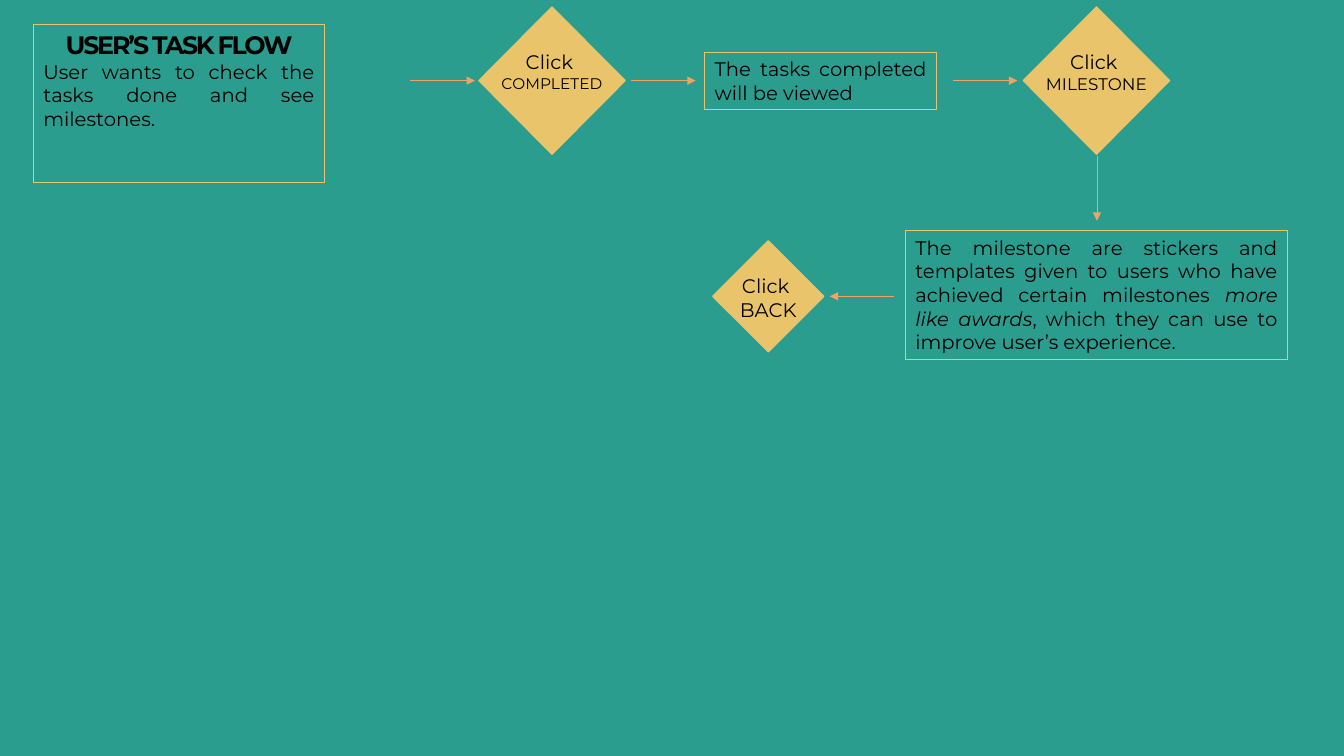
from dataclasses import dataclass

from lxml.etree import SubElement
from pptx import Presentation
from pptx.dml.color import RGBColor
from pptx.enum.shapes import MSO_CONNECTOR as Connector, MSO_SHAPE as Shape
from pptx.enum.text import MSO_ANCHOR as Anchor, MSO_AUTO_SIZE as AutoSize, PP_ALIGN as Align
from pptx.oxml.ns import qn
from pptx.util import Inches, Pt


@dataclass(frozen=True)
class Theme:
    font: str = "Montserrat"
    background: RGBColor = RGBColor.from_string("2A9D8F")
    gold: RGBColor = RGBColor.from_string("E9C46A")
    orange: RGBColor = RGBColor.from_string("F4A261")
    ink: RGBColor = RGBColor.from_string("000000")
    title: int = 18
    body: int = 14


THEME = Theme()

# Content: positions are left, top, width, height in inches
TITLE = "USER’S TASK FLOW"
GOAL = "User wants to check the tasks done and see milestones."
START_AREA = (0.33, 0.24, 2.89, 1.11)

# Step boxes: area, then text pieces with an italic flag
STEPS = [
    ((6.99, 0.52, 2.3, 0.57), [("The tasks completed will be viewed", False)]),
    ((8.98, 2.29, 3.79, 1.28), [
        ("The milestone are stickers and templates given to users who have "
         "achieved certain milestones ", False),
        ("more like awards", True),
        (", which they can use to improve user’s experience.", False),
    ]),
]

# Decisions: diamond area, label top and height, button name, name size
DECISIONS = [
    ((10.15, 0.07, 1.45, 1.46), (0.45, 0.54), "MILESTONE", 12),
    ((7.07, 2.39, 1.1, 1.1), (2.67, 0.57), "BACK", THEME.body),
    ((4.75, 0.07, 1.45, 1.46), (0.45, 0.52), "COMPLETED", 11),
]
LABEL_WIDTH = 1.26

# Arrows: start point and direction, all of one length
ARROW_LENGTH = 0.64
ARROWS = [
    ((4.07, 0.8), (1, 0)),
    ((6.26, 0.8), (1, 0)),
    ((9.45, 0.8), (1, 0)),
    ((10.88, 1.55), (0, 1)),
    ((8.87, 2.94), (-1, 0)),
]


def inches(values):
    return [Inches(value) for value in values]


def add_span(para, text, size=THEME.body, bold=False, italic=False):
    span = para.add_run()
    span.text = text
    font = span.font
    font.name, font.size, font.bold, font.italic = THEME.font, Pt(size), bold, italic
    font.color.rgb = THEME.ink
    return span


def prepare_text(box, align):
    frame = box.text_frame
    frame.word_wrap = True
    frame.auto_size = AutoSize.SHAPE_TO_FIT_TEXT
    frame.vertical_anchor = Anchor.TOP
    frame.paragraphs[0].alignment = align
    return frame


def outline(box, width=0.75):
    box.line.color.rgb = THEME.gold
    box.line.width = Pt(width)


def add_start(slide):
    box = slide.shapes.title
    box.left, box.top, box.width, box.height = inches(START_AREA)
    outline(box)
    frame = prepare_text(box, Align.CENTER)
    heading = add_span(frame.paragraphs[0], TITLE, THEME.title, bold=True)
    heading.font._element.set("spc", "-150")
    goal = frame.add_paragraph()
    goal.alignment = Align.JUSTIFY
    add_span(goal, GOAL)


def add_step(slide, area, pieces):
    box = slide.shapes.add_shape(Shape.RECTANGLE, *inches(area))
    box.shadow.inherit = False
    box.fill.background()
    outline(box)
    para = prepare_text(box, Align.JUSTIFY).paragraphs[0]
    for text, italic in pieces:
        add_span(para, text, italic=italic)


def add_decision(slide, area, label_rows, name, size):
    group = slide.shapes.add_group_shape()
    diamond = group.shapes.add_shape(Shape.DIAMOND, *inches(area))
    diamond.shadow.inherit = False
    diamond.fill.solid()
    diamond.fill.fore_color.rgb = THEME.gold
    outline(diamond, 1)

    # Label centred on the diamond
    left = area[0] + (area[2] - LABEL_WIDTH) / 2
    top, height = label_rows
    label = group.shapes.add_textbox(*inches((left, top, LABEL_WIDTH, height)))
    para = prepare_text(label, Align.CENTER).paragraphs[0]
    add_span(para, "Click ")
    para.add_line_break()
    add_span(para, name, size)


def add_arrow(slide, start, direction):
    end = [at + step * ARROW_LENGTH for at, step in zip(start, direction)]
    arrow = slide.shapes.add_connector(Connector.STRAIGHT, *inches((*start, *end)))
    arrow.line.color.rgb = THEME.orange
    arrow.line.width = Pt(0.5)
    SubElement(arrow.line._get_or_add_ln(), qn("a:tailEnd"), type="triangle")
    SubElement(arrow._element.spPr, qn("a:effectLst"))


def main():
    deck = Presentation()
    deck.slide_width, deck.slide_height = inches((13.33, 7.5))
    page = deck.slides.add_slide(deck.slide_layouts[5])
    page.background.fill.solid()
    page.background.fill.fore_color.rgb = THEME.background

    # Flow parts
    add_start(page)
    for step in STEPS:
        add_step(page, *step)
    for decision in DECISIONS:
        add_decision(page, *decision)
    for arrow in ARROWS:
        add_arrow(page, *arrow)
    deck.save("out.pptx")


if __name__ == "__main__":
    main()
